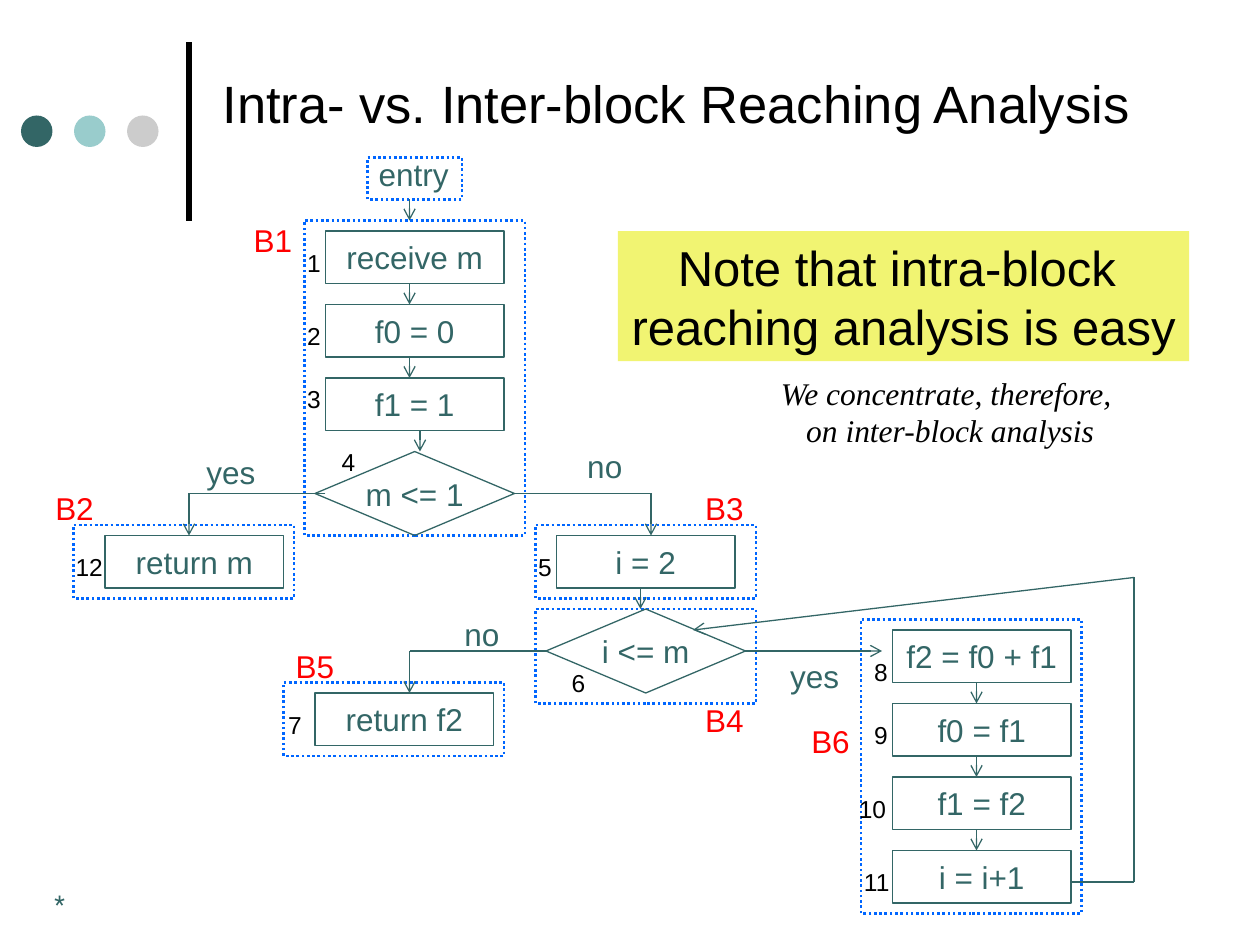
from dataclasses import dataclass
from itertools import pairwise

from lxml.etree import SubElement
from pptx import Presentation
from pptx.dml.color import RGBColor
from pptx.enum.dml import MSO_LINE_DASH_STYLE as Dash
from pptx.enum.shapes import MSO_CONNECTOR as Connector, MSO_SHAPE as Shape
from pptx.enum.text import MSO_ANCHOR as Anchor, MSO_AUTO_SIZE as AutoSize, PP_ALIGN as Align
from pptx.oxml.ns import qn
from pptx.util import Inches, Pt


@dataclass(frozen=True)
class Theme:
    ink: str = "000000"
    teal: str = "336666"
    aqua: str = "99CCCC"
    grey: str = "CCCCCC"
    frame: str = "0066FF"
    block: str = "FF0000"
    note: str = "F1F472"
    sans: str = "Arial"
    serif: str = "Times New Roman"
    footer: str = "Roboto Condensed"
    title_size: int = 30
    note_size: int = 28
    code_size: int = 18
    small_size: int = 14


THEME = Theme()
COLUMNS, ROWS = 120, 90  # twelve grid steps to the inch
NODE_WIDTH, NODE_HEIGHT, NODE_STEP = 17, 5, 7
LEFT, RIGHT = 1, 3  # connection sites

# Letter widths in ems, where they differ from a digit's
DIGIT_EM = 0.56
LETTER_EM = {"B": 0.67, "r": 0.33, "s": 0.5, "t": 0.28, "y": 0.5}

# Block: name, frame, name position, nodes (outline, code, offset, number, number offset).
# All offsets are grid steps from the corner of the frame.
BOX, TEST = Shape.RECTANGLE, Shape.DIAMOND
BLOCKS = [
    ("B1", (29, 21, 21, 30), (-3, -0.5), [
        (BOX, "receive m", (2, 1), 1, (0.9, 2)),
        (BOX, "f0 = 0", (2, 1 + NODE_STEP), 2, (0.9, 9)),
        (BOX, "f1 = 1", (2, 1 + 2 * NODE_STEP), 3, (0.9, 15)),
        (TEST, "m <= 1", (1, 1 + 3 * NODE_STEP), 4, (4.2, 21))]),
    ("B2", (7, 50, 21, 7), (0.1, -4), [(BOX, "return m", (3, 1), 12, (1.5, 2))]),
    ("B3", (51, 50, 21, 7), (18, -4), [(BOX, "i = 2", (2, 1), 5, (0.9, 2))]),
    ("B4", (51, 58, 21, 9), (18, 8.2), [(TEST, "i <= m", (1, 0), 6, (4.1, 5))]),
    ("B5", (27, 65, 21, 7), (3, -4), [(BOX, "return f2", (3, 1), 7, (1.1, 2))]),
    ("B6", (82, 59, 21, 28), (-2.9, 9.2), [
        (BOX, "f2 = f0 + f1", (3, 1), 8, (1.9, 3)),
        (BOX, "f0 = f1", (3, 1 + NODE_STEP), 9, (1.9, 9)),
        (BOX, "f1 = f2", (3, 1 + 2 * NODE_STEP), 10, (1.1, 16)),
        (BOX, "i = i+1", (3, 1 + 3 * NODE_STEP), 11, (1.5, 23))]),
]


def grid(*steps):
    return [Inches(step / 12) for step in steps]


def rgb(color):
    return RGBColor.from_string(color)


def write(shape, text, size, color, font=THEME.sans, align=Align.CENTER, italic=None):
    frame = shape.text_frame
    frame.text = text
    for paragraph in frame.paragraphs:
        paragraph.alignment = align
        for run in paragraph.runs:
            run.font.size, run.font.name, run.font.italic = Pt(size), font, italic
            run.font.color.rgb = rgb(color)
    return frame


def outline(slide, kind, box, fill=None, line=None, width=0.75, dash=None):
    shape = slide.shapes.add_shape(kind, *grid(*box))
    shape.shadow.inherit = False
    if fill:
        shape.fill.solid()
        shape.fill.fore_color.rgb = rgb(fill)
    else:
        shape.fill.background()
    if line:
        shape.line.color.rgb = rgb(line)
        shape.line.width = Pt(width)
        if dash:
            shape.line.dash_style = dash
    else:
        shape.line.fill.background()
    return shape


def dotted_frame(slide, box):
    outline(slide, Shape.RECTANGLE, box, line=THEME.frame, width=1.5, dash=Dash.ROUND_DOT)


def label(slide, text, center, top, size=THEME.code_size, color=THEME.teal):
    width = 2.5 + size / 6 * sum(LETTER_EM.get(letter, DIGIT_EM) for letter in text)
    height = 1.2 + size * 0.2
    box = slide.shapes.add_textbox(*grid(center - width / 2, top, width, height))
    frame = write(box, text, size, color)
    frame.word_wrap = False
    frame.auto_size = AutoSize.SHAPE_TO_FIT_TEXT


def line(slide, start, end, color=THEME.teal, width=0.75, arrow=False):
    connector = slide.shapes.add_connector(Connector.STRAIGHT, *grid(*start, *end))
    connector.line.color.rgb = rgb(color)
    connector.line.width = Pt(width)
    properties = connector.line._get_or_add_ln()
    if arrow:
        SubElement(properties, qn("a:tailEnd"), type="arrow")
    SubElement(properties.getparent(), qn("a:effectLst"))
    return connector


def route(slide, points, source=None, site=None):
    """Draw straight legs through the points, with an arrowhead on the last."""
    legs = list(pairwise(points))
    lines = [line(slide, *leg, arrow=leg == legs[-1]) for leg in legs]
    if source is not None:
        lines[0].begin_connect(source, site)


def basic_block(slide, name, box, name_at, nodes):
    """Draw one block and return its nodes by number."""
    left, top = box[:2]
    dotted_frame(slide, box)
    placed = {}
    for kind, code, (dx, dy), number, (number_dx, number_dy) in nodes:
        extra = (2, 3) if kind == TEST else (0, 0)
        size = (NODE_WIDTH + extra[0], NODE_HEIGHT + extra[1])
        node = outline(slide, kind, (left + dx, top + dy, *size), line=THEME.teal)
        frame = write(node, code, THEME.code_size, THEME.teal)
        frame.word_wrap, frame.vertical_anchor = False, Anchor.MIDDLE
        placed[number] = node
        label(slide, str(number), left + number_dx, top + number_dy,
              THEME.small_size, THEME.ink)
    label(slide, name, left + name_at[0], top + name_at[1], color=THEME.block)
    return placed


def header(slide, left, top, height):
    # Rule and dots beside the title
    line(slide, (left + 16, top + height), (left + 16, top), THEME.ink, 3)
    for index, color in enumerate((THEME.teal, THEME.aqua, THEME.grey)):
        outline(slide, Shape.OVAL, (left + 5.05 * index, top + 7, 3, 3), fill=color)
    title = slide.shapes.title
    title.left, title.top, title.width, title.height = grid(left + 18, top - 1.5, 92, 14.5)
    frame = write(title, "Intra- vs. Inter-block Reaching Analysis",
                  THEME.title_size, THEME.ink, align=Align.LEFT)
    frame.vertical_anchor, frame.auto_size = Anchor.MIDDLE, AutoSize.NONE


def flow_graph(slide):
    # Entry and basic blocks
    label(slide, "entry", 39.4, 14.2)
    dotted_frame(slide, (35, 15, 9, 4))
    nodes = {}
    for block in BLOCKS:
        nodes.update(basic_block(slide, *block))

    # Short steps down: entry, inside B1, B3 to B4, inside B6
    for x, y in [(39, 19), (39, 27), (39, 34), (40, 41), (61, 56),
                 *((93, 65 + NODE_STEP * step) for step in range(3))]:
        route(slide, [(x, y), (x, y + 2)])

    # Branches and the loop back
    route(slide, [(31, 47), (18, 47), (18, 51)])
    route(slide, [(49, 47), (62, 47), (62, 51)], nodes[4], RIGHT)
    route(slide, [(52, 62), (39, 62), (39, 66)], nodes[6], LEFT)
    route(slide, [(71, 62), (84, 62)], nodes[6], RIGHT)
    route(slide, [(102, 84), (108, 84), (108, 55), (66, 60)])
    for answer, center, top in [("yes", 22, 42.6), ("no", 57.6, 42),
                                ("no", 45.9, 58), ("yes", 77.6, 62)]:
        label(slide, answer, center, top)


def notes(slide, left, top):
    callout = outline(slide, Shape.RECTANGLE, (left, top, 54.4, 12.4), fill=THEME.note)
    remark = slide.shapes.add_textbox(*grid(left + 14, top + 13, 35.3, 8.4))
    frames = [
        write(callout, "Note that intra-block \nreaching analysis is easy",
              THEME.note_size, THEME.ink),
        write(remark, "We concentrate, therefore, \non inter-block analysis",
              THEME.code_size, THEME.ink, THEME.serif, italic=True),
    ]
    for frame in frames:
        frame.word_wrap, frame.vertical_anchor = False, Anchor.TOP
        frame.auto_size = AutoSize.SHAPE_TO_FIT_TEXT


def footer(slide, box):
    mark = slide.shapes.add_textbox(*grid(*box))
    write(mark, "*", THEME.small_size, THEME.teal, THEME.footer, Align.LEFT).word_wrap = True


def main():
    deck = Presentation()
    deck.slide_width, deck.slide_height = grid(COLUMNS, ROWS)
    slide = deck.slides.add_slide(deck.slide_layouts[5])
    header(slide, 2, 4, 17)
    flow_graph(slide)
    notes(slide, 58.85, 22)
    footer(slide, (4, 84.1, 25, 6))
    deck.save("out.pptx")


if __name__ == "__main__":
    main()
